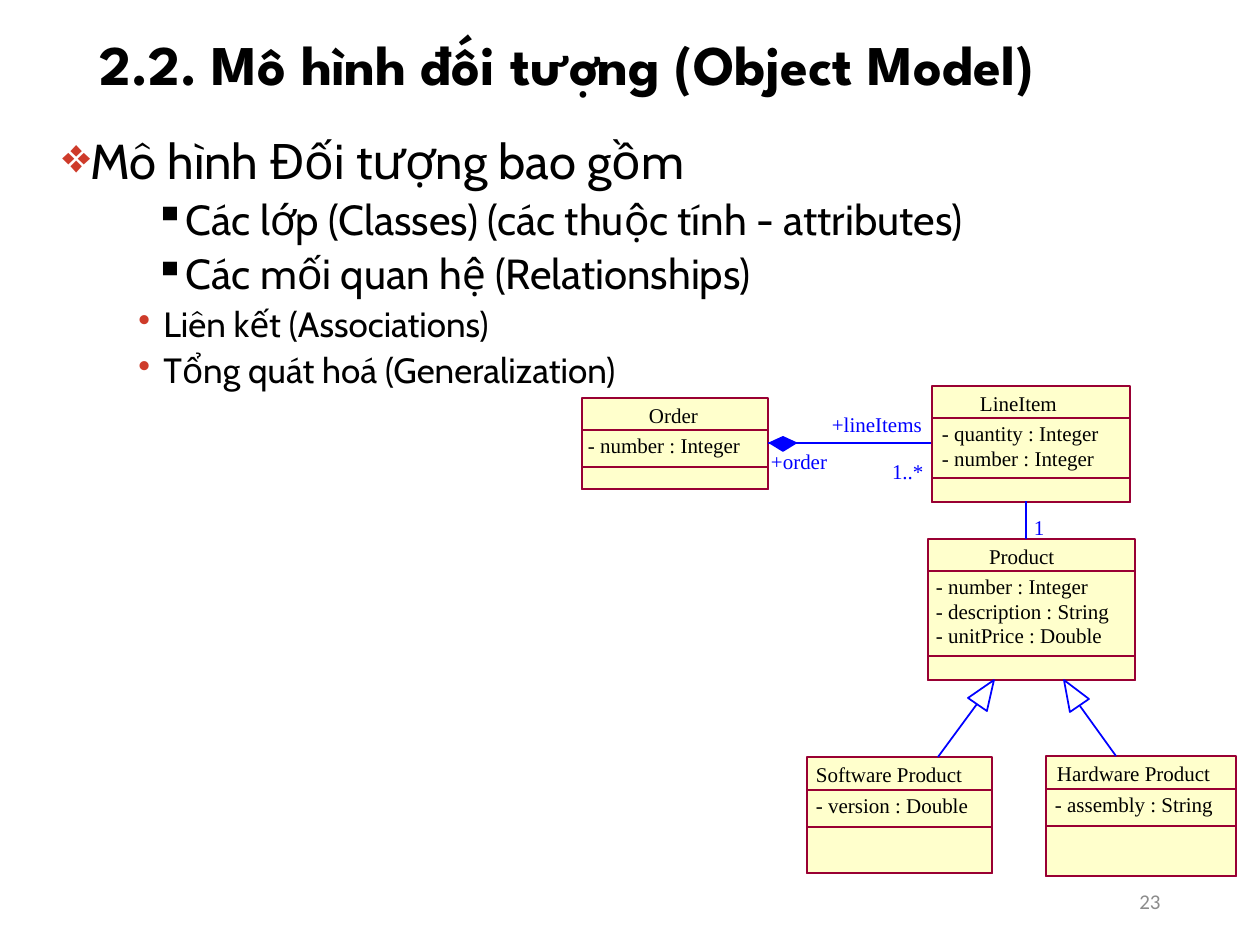
from lxml import etree
from pptx import Presentation
from pptx import util as u
from pptx.dml.color import RGBColor
from pptx.enum import shapes, text
from pptx.oxml import ns

PX = 914400 / 126  # EMU per px

BLACK = RGBColor(0x00, 0x00, 0x00)
RED = RGBColor(0xCE, 0x3B, 0x2A)
GREY = RGBColor(0x8C, 0x8C, 0x8C)
CREAM = RGBColor(0xFF, 0xFF, 0xCC)
MAROON = RGBColor(0x99, 0x00, 0x33)
BLUE = RGBColor(0x00, 0x00, 0xFF)

TITLE_FONT = {"name": "League Spartan", "size": u.Pt(32), "bold": True}
NUMBER_FONT = {"name": "Calibri", "size": u.Pt(12)}
DIAGRAM_FONT = {"name": "Times New Roman", "size": u.Pt(12)}
LABEL_HEIGHT = 25
ATTRIBUTE_STEP = 24.5

# Outline levels: indent px, size pt, bullet, bullet colour
LEVELS = [
    (25, 28, "❖", RED),
    (117, 24, "▪", BLACK),
    (101, 20, "•", RED),
]
OUTLINE = [
    (0, "Mô hình Đối tượng bao gồm"),
    (1, "Các lớp (Classes) (các thuộc tính - attributes)"),
    (1, "Các mối quan hệ (Relationships)"),
    (2, "Liên kết (Associations)"),
    (2, "Tổng quát hoá (Generalization)"),
]

# Classes: box, divider tops, name, name left, attribute left, attributes
CLASSES = [
    ((932, 386, 198, 116), (418, 478), "LineItem", 980, 942,
     ["- quantity : Integer", "- number : Integer"]),
    ((582, 398, 186, 91), (430, 467), "Order", 649, 588,
     ["- number : Integer"]),
    ((928, 539, 207, 141), (571, 656), "Product", 989, 936,
     ["- number : Integer", "- description : String", "- unitPrice : Double"]),
    ((807, 757, 185, 116), (790, 827), "Software Product", 816, 816,
     ["- version : Double"]),
    ((1046, 756, 190, 120), (789, 826), "Hardware Product", 1057, 1055,
     ["- assembly : String"]),
]

LINES = [
    (931, 443, 768, 443),
    (1026, 539, 1026, 501),
    (938, 757, 977, 704),
    (1116, 756, 1080, 706),
]
DIAMOND = [(770, 443), (783, 451), (796, 443), (783, 437)]
TRIANGLES = [
    [(994, 680), (987, 711), (968, 698)],
    [(1064, 680), (1089, 699), (1070, 712)],
]
LABELS = [
    ("+lineItems", 832, 412, 91),
    ("1..*", 892, 459, 32),
    ("+order", 771, 449, 57),
    ("1", 1034, 515, 10),
]


def emu(*lengths):
    return [u.Emu(round(length * PX)) for length in lengths]


def set_values(target, values):
    for name, value in values.items():
        setattr(target, name, value)


def add_text(slide, box, content, font, colour, frame_format=None, **paragraph_format):
    shape = slide.shapes.add_textbox(*emu(*box))
    set_values(shape.text_frame, {"word_wrap": True, **(frame_format or {})})
    paragraph = shape.text_frame.paragraphs[0]
    paragraph.text = content
    set_values(paragraph, paragraph_format)
    set_values(paragraph.font, font)
    paragraph.font.color.rgb = colour


def add_label(slide, left, top, width, content, colour):
    frame_format = {"word_wrap": False, "margin_left": 0, "margin_right": 0,
                    "margin_top": 0, "margin_bottom": 0}
    add_text(slide, (left, top, width, LABEL_HEIGHT), content, DIAGRAM_FONT, colour, frame_format)


def add_bullet(paragraph, indent, character, colour):
    properties = paragraph._p.get_or_add_pPr()
    properties.set("marL", str(emu(indent)[0]))
    properties.set("indent", str(emu(-25)[0]))
    bullet_colour = etree.SubElement(properties, ns.qn("a:buClr"))
    etree.SubElement(bullet_colour, ns.qn("a:srgbClr"), val=str(colour))
    etree.SubElement(properties, ns.qn("a:buChar"), char=character)


def add_outline(slide, box):
    frame = slide.shapes.add_textbox(*emu(*box)).text_frame
    frame.word_wrap = True
    for index, (level, content) in enumerate(OUTLINE):
        paragraph = frame.add_paragraph() if index else frame.paragraphs[0]
        indent, size, character, colour = LEVELS[level]
        paragraph.text = content
        add_bullet(paragraph, indent, character, colour)
        set_values(paragraph, {"level": level, "line_spacing": 0.9,
                               "space_before": u.Pt(5 if index else 0)})
        set_values(paragraph.font, {"name": "Cabin", "size": u.Pt(size)})
        paragraph.font.color.rgb = BLACK


def style_shape(shape, fill, line):
    shape.shadow.inherit = False
    if fill is None:
        shape.fill.background()
    else:
        shape.fill.solid()
        shape.fill.fore_color.rgb = fill
    shape.line.color.rgb = line
    shape.line.width = u.Pt(1)


def add_class(slide, box, dividers, name, name_left, attribute_left, attributes):
    left, top, width, height = box
    # Full box, then the attribute and operation compartments
    for part_top in (top, *dividers):
        shape = slide.shapes.add_shape(
            shapes.MSO_SHAPE.RECTANGLE, *emu(left, part_top, width, top + height - part_top))
        style_shape(shape, CREAM if part_top == top else None, MAROON)
    add_label(slide, name_left, top + 5, left + width - name_left, name, BLACK)
    for index, attribute in enumerate(attributes):
        add_label(slide, attribute_left, dividers[0] + 3 + index * ATTRIBUTE_STEP,
                  left + width - attribute_left, attribute, BLACK)


def add_line(slide, *ends):
    line = slide.shapes.add_connector(shapes.MSO_CONNECTOR.STRAIGHT, *emu(*ends))
    line.line.color.rgb = BLUE
    line.line.width = u.Pt(1)
    etree.SubElement(line._element.spPr, ns.qn("a:effectLst"))


def add_outline_shape(slide, points, fill=None):
    builder = slide.shapes.build_freeform(*points[0], scale=PX)
    builder.add_line_segments(points[1:], close=True)
    style_shape(builder.convert_to_shape(), fill, BLUE)


def main():
    presentation = Presentation()
    presentation.slide_width, presentation.slide_height = emu(1260, 945)
    slide = presentation.slides.add_slide(presentation.slide_layouts[6])
    middle = {"vertical_anchor": text.MSO_ANCHOR.MIDDLE}

    # Heading and bullets
    add_text(slide, (87, 16, 1086, 102), "2.2. Mô hình đối tượng (Object Model)",
             TITLE_FONT, BLACK, middle, line_spacing=0.9)
    add_outline(slide, (50, 131, 1169, 290))

    # Class diagram
    for item in CLASSES:
        add_class(slide, *item)
    for ends in LINES:
        add_line(slide, *ends)
    add_outline_shape(slide, DIAMOND, BLUE)
    for triangle in TRIANGLES:
        add_outline_shape(slide, triangle)
    for content, left, top, width in LABELS:
        add_label(slide, left, top, width, content, BLUE)

    # Slide number
    add_text(slide, (890, 876, 283, 50), "23", NUMBER_FONT, GREY, middle,
             alignment=text.PP_ALIGN.RIGHT)
    presentation.save("out.pptx")


if __name__ == "__main__":
    main()
